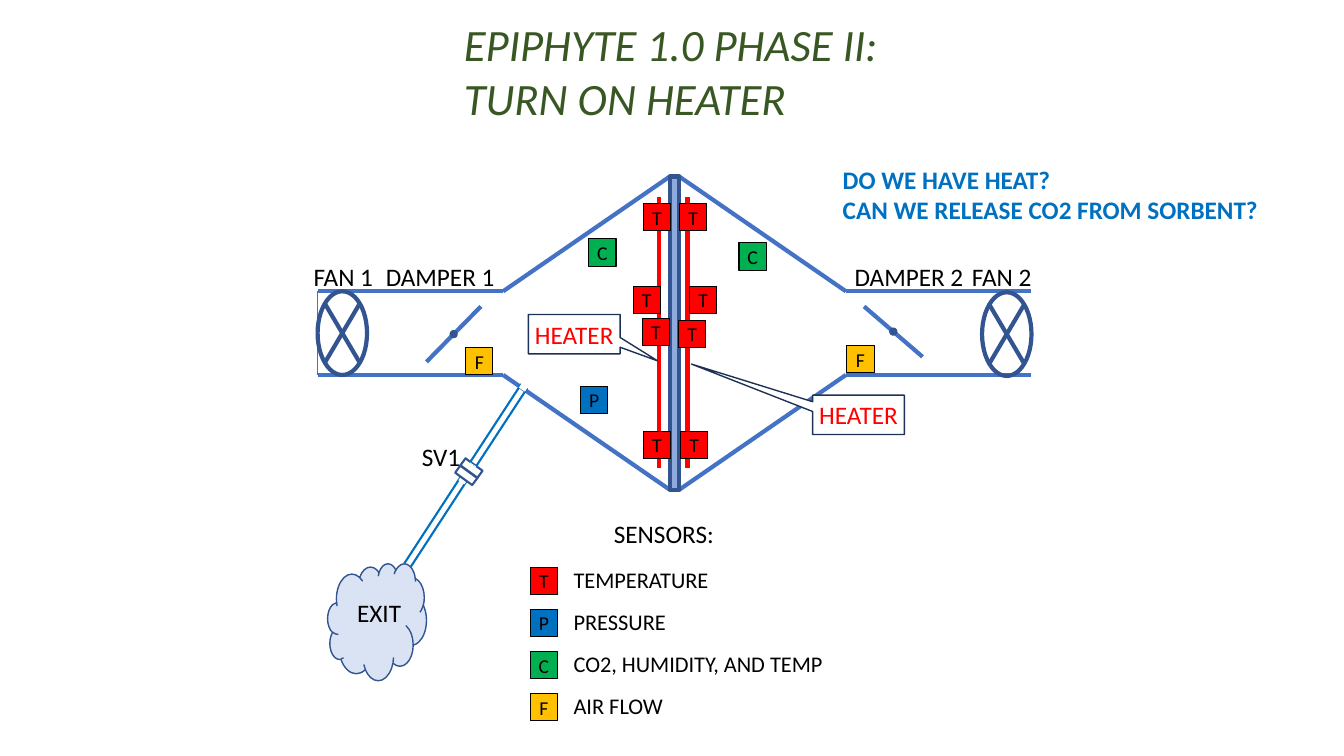
from lxml import etree
from pptx import Presentation
from pptx.dml.color import RGBColor
from pptx.enum.shapes import MSO_CONNECTOR, MSO_SHAPE
from pptx.enum.text import MSO_ANCHOR, MSO_AUTO_SIZE, PP_ALIGN
from pptx.oxml.ns import qn
from pptx.util import Inches, Pt

LEFT, CENTER = PP_ALIGN.LEFT, PP_ALIGN.CENTER
TOP, MIDDLE = MSO_ANCHOR.TOP, MSO_ANCHOR.MIDDLE
GROW = MSO_AUTO_SIZE.SHAPE_TO_FIT_TEXT
STRAIGHT = MSO_CONNECTOR.STRAIGHT
RECTANGLE, OVAL, CLOUD = MSO_SHAPE.RECTANGLE, MSO_SHAPE.OVAL, MSO_SHAPE.CLOUD
FAN = MSO_SHAPE.FLOWCHART_SUMMING_JUNCTION
CALLOUT = MSO_SHAPE.RECTANGULAR_CALLOUT

FONT = "Calibri"
BLACK, WHITE, RED, BLUE = "000000", "FFFFFF", "FF0000", "0070C0"
DUCT, EDGE, NAVY, GREEN = "4472C4", "325491", "1E3256", "385723"
SENSOR_COLORS = {"T": RED, "P": BLUE, "C": "00B050", "F": "FFC000"}
SENSOR_SIZE = 0.27


def color(hex_value):
    return RGBColor.from_string(hex_value)


def write(frame, text, size, hex_value, align=LEFT, bold=False, italic=False):
    frame.text = text
    for paragraph in frame.paragraphs:
        paragraph.alignment = align
        for run in paragraph.runs:
            font = run.font
            font.name, font.size = FONT, Pt(size)
            font.bold, font.italic = bold, italic
            font.color.rgb = color(hex_value)


def add_label(slide, box, text, size=18, hex_value=BLACK, align=CENTER, bold=False, wrap=True):
    frame = slide.shapes.add_textbox(*map(Inches, box)).text_frame
    frame.word_wrap = wrap
    frame.auto_size = GROW
    write(frame, text, size, hex_value, align, bold)


def add_line(slide, start, end, hex_value, width):
    line = slide.shapes.add_connector(STRAIGHT, *map(Inches, (*start, *end)))
    line.line.color.rgb = color(hex_value)
    line.line.width = Pt(width)
    etree.SubElement(line._element.spPr, qn("a:effectLst"))


def add_part(slide, kind, box, fill, outline, width):
    part = slide.shapes.add_shape(kind, *map(Inches, box))
    part.shadow.inherit = False
    if fill:
        part.fill.solid()
        part.fill.fore_color.rgb = color(fill)
    else:
        part.fill.background()
    part.line.color.rgb = color(outline)
    part.line.width = Pt(width)
    return part


def write_inside(part, text, size, hex_value):
    frame = part.text_frame
    frame.margin_left = frame.margin_right = frame.margin_top = frame.margin_bottom = 0
    frame.vertical_anchor = MIDDLE
    write(frame, text, size, hex_value, CENTER)


def add_title(slide, box):
    title = slide.shapes.title
    title.left, title.top, title.width, title.height = map(Inches, box)
    frame = title.text_frame
    frame.word_wrap = False
    frame.auto_size = GROW
    frame.vertical_anchor = TOP
    write(frame, "EPIPHYTE 1.0 PHASE II:\nTURN ON HEATER", 32, GREEN, italic=True)


def add_sensor(slide, left, top, letter):
    sensor = add_part(slide, RECTANGLE, (left, top, SENSOR_SIZE, SENSOR_SIZE),
                      SENSOR_COLORS[letter], BLACK, 0.75)
    write_inside(sensor, letter, 14, BLACK)


def add_housing(slide, box):
    left, top, width, height = box
    middle, bottom = left + width / 2, top + height
    duct_top, duct_bottom = top + 1.14, bottom - 1.14
    plate_width = 0.09
    for side in (-1, 1):
        plate_x = middle + side * plate_width / 2
        neck_x = middle + side * 1.7
        end_x = middle + side * width / 2
        for peak_y, duct_y in ((top, duct_top), (bottom, duct_bottom)):
            add_line(slide, (plate_x, peak_y), (neck_x, duct_y), DUCT, 3)
            add_line(slide, (neck_x, duct_y), (end_x, duct_y), DUCT, 3)
    add_line(slide, (left, duct_top), (left, duct_bottom), DUCT, 0.5)
    add_part(slide, RECTANGLE, (middle - plate_width / 2, top, plate_width, height),
             "8FAADC", EDGE, 3)
    for fan_left, fan_top in ((left, duct_top), (left + width - 0.49, duct_top + 0.01)):
        add_part(slide, FAN, (fan_left, fan_top, 0.49, 0.83), None, EDGE, 3)
    for heater_x in (middle - 0.15, middle + 0.13):
        add_line(slide, (heater_x, top + 0.2), (heater_x, bottom - 0.22), RED, 3)
    for label_left, label_width, text in ((-0.16, 0.83, "FAN 1"), (0.57, 1.29, "DAMPER 1"),
                                          (5.22, 1.29, "DAMPER 2"), (6.37, 0.83, "FAN 2")):
        add_label(slide, (left + label_left, top + 0.79, label_width, 0.4), text)


def add_damper(slide, box, rising):
    left, top, width, height = box
    start_y, end_y = (top + height, top) if rising else (top, top + height)
    add_line(slide, (left, start_y), (left + width, end_y), DUCT, 3)
    pivot = 0.04
    add_part(slide, OVAL, (left + (width - pivot) / 2, top + (height - pivot) / 2, pivot, pivot),
             DUCT, EDGE, 3)


def add_pipe(slide, box):
    left, top, width, height = box
    gap_x, gap_y = 0.06, 0.04
    upper, lower = (left + width - gap_x, top), (left, top + height - gap_y)
    upper_pair = (upper[0] + gap_x, upper[1] + gap_y)
    lower_pair = (lower[0] + gap_x, lower[1] + gap_y)
    add_line(slide, upper, lower, BLUE, 1.5)
    add_line(slide, upper_pair, lower_pair, BLUE, 1.5)
    add_line(slide, lower, lower_pair, WHITE, 0.5)
    add_line(slide, upper, upper_pair, WHITE, 6)


def add_exhaust(slide, box):
    left, top, _, _ = box
    add_pipe(slide, (left + 0.76, top + 0.92, 0.62, 0.9))
    for valve_left, valve_top in ((1.38, 0.73), (1.33, 0.8)):
        valve = add_part(slide, RECTANGLE, (left + valve_left, top + valve_top, 0.09, 0.21),
                         None, EDGE, 1.5)
        valve.rotation = 126
    add_part(slide, CLOUD, (left, top + 1.78, 0.98, 1.16), "DAE3F3", EDGE, 1)
    add_label(slide, (left + 0.71, top + 0.52, 0.83, 0.36), "SV1")
    add_pipe(slide, (left + 1.41, top, 0.57, 0.82))
    add_label(slide, (left - 0.18, top + 2.07, 1.38, 0.4), "EXIT")


def add_heater_callout(slide, box, pointer):
    callout = add_part(slide, CALLOUT, box, WHITE, NAVY, 1)
    callout.adjustments[0], callout.adjustments[1] = pointer
    write_inside(callout, "HEATER", 18, RED)


def add_legend(slide, box):
    left, top, width, _ = box
    add_label(slide, (left + 0.59, top, 1.47, 0.4), "SENSORS:")
    meanings = {"T": "TEMPERATURE", "P": "PRESSURE", "C": "CO2, HUMIDITY, AND TEMP", "F": "AIR FLOW"}
    for row, (letter, meaning) in enumerate(meanings.items()):
        row_top = top + 0.54 + row * 0.417
        add_sensor(slide, left, row_top, letter)
        add_label(slide, (left + 0.33, row_top - 0.06, width - 0.33, 0.37), meaning, 16, align=LEFT)


def add_housing_sensors(slide, box):
    left, top, _, _ = box
    places = {
        "T": [(3.58, 1.43), (3.22, 1.41), (3.23, 2.53), (3.23, 0.27),
              (3.6, 2.53), (3.59, 0.27), (3.69, 1.09), (3.13, 1.09)],
        "C": [(2.69, 0.62), (4.18, 0.66)],
        "F": [(5.25, 1.68), (1.47, 1.7)],
        "P": [(2.61, 2.08)],
    }
    for letter, offsets in places.items():
        for x, y in offsets:
            add_sensor(slide, left + x, top + y, letter)


def main():
    presentation = Presentation()
    presentation.slide_width, presentation.slide_height = Inches(13.33), Inches(7.5)
    slide = presentation.slides.add_slide(presentation.slide_layouts[5])
    housing = (3.15, 1.75, 7.08, 3.11)

    add_title(slide, (4.5, 0.12, 4.35, 1.18))
    add_housing(slide, housing)
    add_damper(slide, (4.23, 3.04, 0.54, 0.55), rising=True)
    add_damper(slide, (8.57, 3.04, 0.58, 0.5), rising=False)
    add_exhaust(slide, (3.25, 3.81, 1.98, 2.94))
    add_heater_callout(slide, (5.24, 3.12, 0.91, 0.39), (0.91, 0.68))
    add_heater_callout(slide, (8.06, 3.92, 0.91, 0.39), (-1.82, -1.29))
    add_legend(slide, (5.26, 5.09, 3.25, 2.1))
    add_housing_sensors(slide, housing)
    add_label(slide, (8.26, 1.58, 4.36, 0.71),
              "DO WE HAVE HEAT?\nCAN WE RELEASE CO2 FROM SORBENT?",
              hex_value=BLUE, align=LEFT, bold=True, wrap=False)
    presentation.save("out.pptx")


if __name__ == "__main__":
    main()
